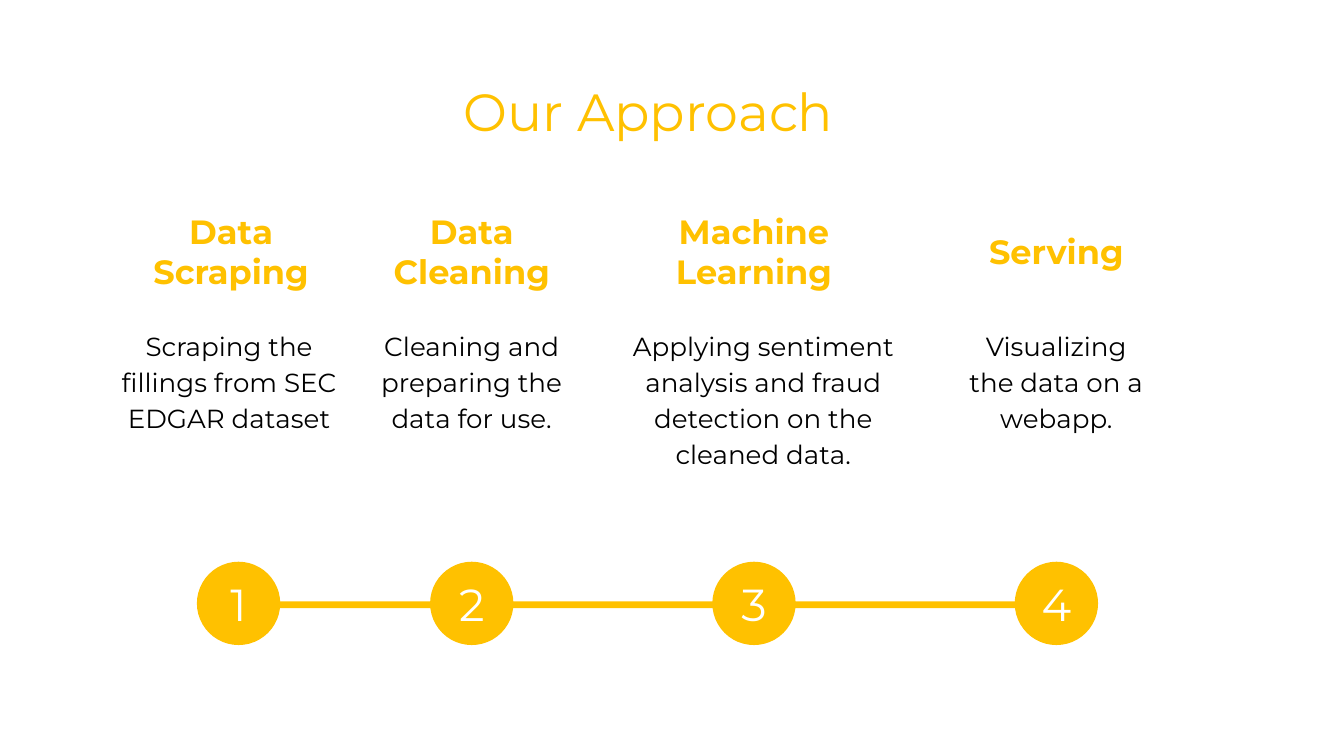
import pptx
import pptx.dml.color
import pptx.enum.shapes
import pptx.enum.text
import pptx.util

PX = 4572
GOLD = pptx.dml.color.RGBColor(0xFF, 0xC1, 0x00)
BLACK = pptx.dml.color.RGBColor(0x00, 0x00, 0x00)
WHITE = pptx.dml.color.RGBColor(0xFF, 0xFF, 0xFF)
SHAPES = pptx.enum.shapes.MSO_SHAPE
TOP = pptx.enum.text.MSO_ANCHOR.TOP
MIDDLE = pptx.enum.text.MSO_ANCHOR.MIDDLE

TITLE = {"size": pptx.util.Pt(28), "bold": False, "color": GOLD}
HEADING = {"size": pptx.util.Pt(18), "bold": True, "color": GOLD}
BODY = {"size": pptx.util.Pt(14), "bold": False, "color": BLACK}
NUMBER = {"size": pptx.util.Pt(24), "bold": False, "color": WHITE}

STEPS = [
    {"left": 136, "width": 410, "heading_left": 42, "heading_width": 332, "circle_left": 293,
     "heading": "Data Scraping", "body": "Scraping the fillings from SEC EDGAR dataset"},
    {"left": 545, "width": 314, "heading_left": 0, "heading_width": 314, "circle_left": 640,
     "heading": "Data Cleaning", "body": "Cleaning and preparing the data for use."},
    {"left": 897, "width": 478, "heading_left": 68, "heading_width": 314, "circle_left": 1060,
     "heading": "Machine Learning",
     "body": "Applying sentiment analysis and fraud detection on the cleaned data."},
    {"left": 1415, "width": 314, "heading_left": 0, "heading_width": 314, "circle_left": 1510,
     "heading": "Serving", "body": "Visualizing the data on a webapp."},
]


def emu(*lengths):
    """Turn px lengths into EMU."""
    return [pptx.util.Emu(length * PX) for length in lengths]


def write(box, text, style, anchor=MIDDLE, wrap=True, spacing=1.0):
    """Write one centred paragraph in a box."""
    frame = box.text_frame
    frame_format = {"word_wrap": wrap, "vertical_anchor": anchor}
    for side in ("left", "top", "right", "bottom"):
        frame_format[f"margin_{side}"] = pptx.util.Inches(0.1)
    for name, value in frame_format.items():
        setattr(frame, name, value)
    para = frame.paragraphs[0]
    para.alignment = pptx.enum.text.PP_ALIGN.CENTER
    para.line_spacing = spacing
    span = para.add_run()
    span.text = text
    span.font.name = "Montserrat"
    for name, value in style.items():
        if name == "color":
            span.font.color.rgb = value
        else:
            setattr(span.font, name, value)


def add_gold(page, kind, left, top, width, height):
    """Add a plain gold shape."""
    shape = page.shapes.add_shape(kind, *emu(left, top, width, height))
    shape.shadow.inherit = False
    shape.fill.solid()
    shape.fill.fore_color.rgb = GOLD
    shape.line.fill.background()
    return shape


def add_title(page, left, top, width, height):
    """Place the slide title."""
    box = page.shapes.add_textbox(*emu(left, top, width, height))
    write(box, "Our Approach", TITLE)


def add_timeline(page, left, top, width, height):
    """Place the bar and the numbered circles."""
    add_gold(page, SHAPES.RECTANGLE, left, top + 59, width, 10)
    badge = 76
    inset = (height - badge) // 2
    for number, step in enumerate(STEPS, 1):
        circle_left = step["circle_left"]
        add_gold(page, SHAPES.OVAL, circle_left, top, height, height)
        square = add_gold(page, SHAPES.RECTANGLE, circle_left + inset, top + inset, badge, badge)
        write(square, str(number), NUMBER, wrap=False)


def add_step(page, step, left, top, width, height):
    """Place the heading and description of one step."""
    heading = page.shapes.add_textbox(
        *emu(left + step["heading_left"], top, step["heading_width"], 68))
    write(heading, step["heading"], HEADING)
    body = page.shapes.add_textbox(*emu(left, top + 125, width, height - 125))
    write(body, step["body"], BODY, anchor=TOP, spacing=1.15)


def main():
    """Build and save the slide."""
    deck = pptx.Presentation()
    deck.slide_width, deck.slide_height = emu(2000, 1125)
    page = deck.slides.add_slide(deck.slide_layouts[6])
    add_title(page, 148, 118, 1634, 94)
    add_timeline(page, 398, 836, 1198, 124)
    for step in STEPS:
        add_step(page, step, step["left"], 340, step["width"], 309)
    deck.save("out.pptx")


if __name__ == "__main__":
    main()
